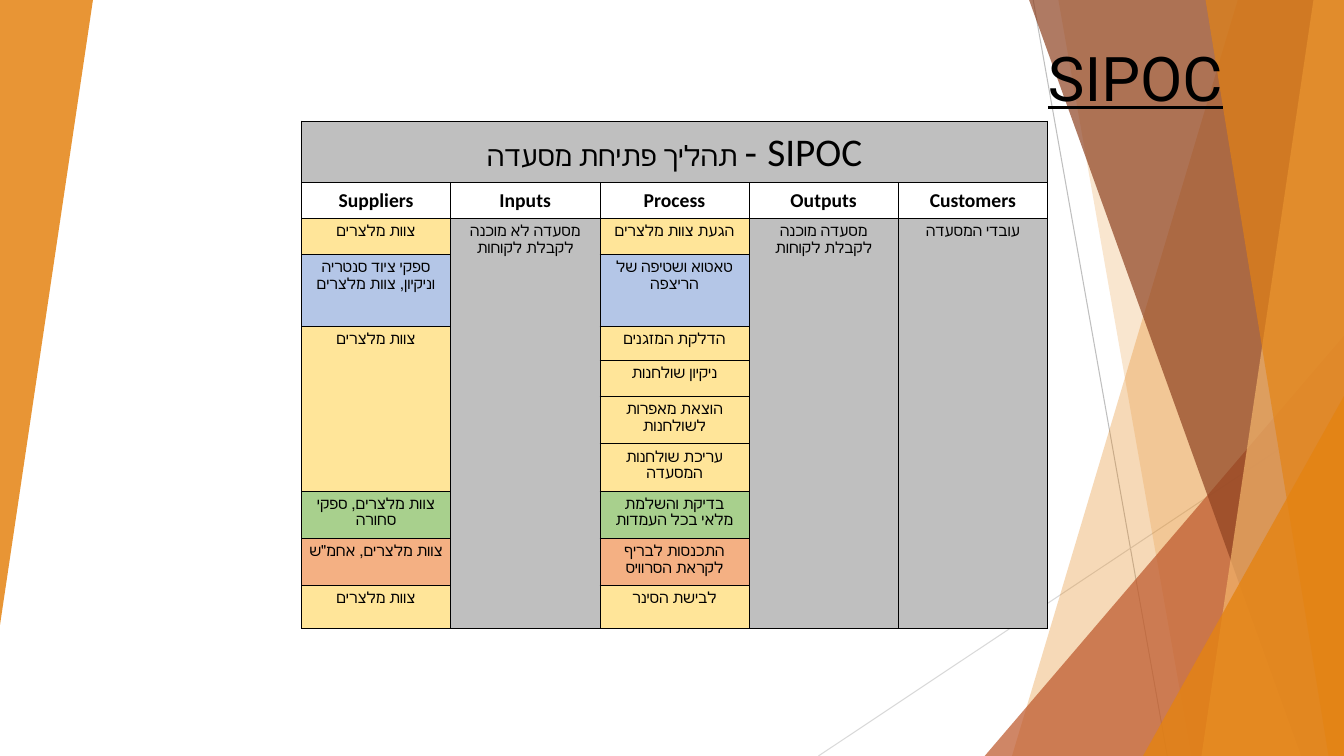
"""Build a slide with a SIPOC table for opening a restaurant."""
import pptx
import pptx.dml.color
import pptx.enum.shapes
import pptx.enum.text
import pptx.oxml
import pptx.oxml.ns
import pptx.util

Pt = pptx.util.Pt
ALIGN = pptx.enum.text.PP_ALIGN
ANCHOR = pptx.enum.text.MSO_ANCHOR
SHAPE = pptx.enum.shapes.MSO_SHAPE
NS = pptx.oxml.ns.nsdecls("a")
W, H = 960, 540

GREY, YELLOW, BLUE, GREEN, CORAL = "BFBFBF", "FFE599", "B4C6E7", "A8D08D", "F4B083"
ORANGE, RUST, BROWN, SAND = "E48312", "BD582C", "8E4221", "F3B56C"

LINES = [((738, 0), (833.8, H), "BFBFBF"), ((W, 290), (584.6, H), "D9D9D9")]
BANDS_BACK = [(884.2, 722.9, ORANGE, 30), (756, 851, ORANGE, 20)]
BANDS_FRONT = [(735.1, 929.5, BROWN, 70), (938.2, 858.2, SAND, 70), (861.1, 949, ORANGE, 65)]
TRIANGLE_BACK = (703.4, 239.8, 256.6, 300.2, 0, RUST, 72)
TRIANGLES_FRONT = [(816.5, 283, 143.5, 257, 0, ORANGE, 80), (0, 0, 66.4, 446.4, 180, ORANGE, 85)]

TITLE = "SIPOC"
HEADING = [("SIPOC -", 28), (" תהליך פתיחת מסעדה", 20)]
COLUMNS = ["Suppliers", "Inputs", "Process", "Outputs", "Customers"]
SUPPLIERS = [
    ("צוות מלצרים", YELLOW, 1),
    ("ספקי ציוד סנטריה וניקיון, צוות מלצרים", BLUE, 1),
    ("צוות מלצרים", YELLOW, 4),
    ("צוות מלצרים, ספקי סחורה", GREEN, 1),
    ("צוות מלצרים, אחמ\"ש", CORAL, 1),
    ("צוות מלצרים", YELLOW, 1),
]
PROCESS = [
    ("הגעת צוות מלצרים", YELLOW, 1),
    ("טאטוא ושטיפה של הריצפה", BLUE, 1),
    ("הדלקת המזגנים", YELLOW, 1),
    ("ניקיון שולחנות", YELLOW, 1),
    ("הוצאת מאפרות לשולחנות", YELLOW, 1),
    ("עריכת שולחנות המסעדה", YELLOW, 1),
    ("בדיקת והשלמת מלאי בכל העמדות", GREEN, 1),
    ("התכנסות לבריף לקראת הסרוויס", CORAL, 1),
    ("לבישת הסינר", YELLOW, 1),
]
BODY = [
    SUPPLIERS,
    [("מסעדה לא מוכנה לקבלת לקוחות", GREY, 9)],
    PROCESS,
    [("מסעדה מוכנה לקבלת לקוחות", GREY, 9)],
    [("עובדי המסעדה", GREY, 9)],
]
COL_WIDTH = 106.6
ROW_HEIGHTS = [43.9, 18, 25.7, 51.4, 24.5, 25.7, 33.8, 33.8, 33.8, 33.8, 30.5]


def rgb(value):
    return pptx.dml.color.RGBColor.from_string(value)


def paint(sp, color, alpha):
    sp.shadow.inherit = False
    sp.line.fill.background()
    sp.fill.solid()
    sp.fill.fore_color.rgb = rgb(color)
    clr = sp._element.spPr.find(".//" + pptx.oxml.ns.qn("a:srgbClr"))
    clr.append(pptx.oxml.parse_xml(f'<a:alpha {NS} val="{alpha * 1000}"/>'))


def add_line(s, start, end, color):
    ends = [Pt(v) for v in start + end]
    line = s.shapes.add_connector(pptx.enum.shapes.MSO_CONNECTOR.STRAIGHT, *ends)
    line.line.color.rgb = rgb(color)
    line.line.width = Pt(0.75)
    line._element.spPr.append(pptx.oxml.parse_xml(f"<a:effectLst {NS}/>"))


def add_band(s, top_x, bottom_x, color, alpha):
    builder = s.shapes.build_freeform(Pt(top_x), Pt(0), scale=1.0)
    corners = [(W, 0), (W, H), (bottom_x, H)]
    builder.add_line_segments([(Pt(x), Pt(y)) for x, y in corners], close=True)
    paint(builder.convert_to_shape(), color, alpha)


def add_triangle(s, x, y, w, h, rotation, color, alpha):
    sp = s.shapes.add_shape(SHAPE.ISOSCELES_TRIANGLE, Pt(x), Pt(y), Pt(w), Pt(h))
    sp.adjustments[0] = 1
    sp.rotation = rotation
    paint(sp, color, alpha)


def write(tf, runs, font="Calibri", align=ALIGN.CENTER, bold=False, underline=False,
          spacing=1.07, after=8):
    tf.word_wrap = True
    p = tf.paragraphs[0]
    p.alignment = align
    p.line_spacing = spacing
    p.space_after = Pt(after)
    p._p.get_or_add_pPr().set("rtl", "1")
    for text, size in runs:
        r = p.add_run()
        r.text = text
        r.font.name = font
        r.font.size = Pt(size)
        r.font.bold = bold
        r.font.underline = underline
        r.font.color.rgb = rgb("000000")


def fill_cell(cell, runs, color=None, **fmt):
    if color:
        cell.fill.solid()
        cell.fill.fore_color.rgb = rgb(color)
    write(cell.text_frame, runs, **fmt)


def add_sipoc_table(s):
    rows, cols = len(ROW_HEIGHTS), len(COLUMNS)
    frame = s.shapes.add_table(rows, cols, Pt(215.3), Pt(86.4),
                               Pt(COL_WIDTH * cols), Pt(sum(ROW_HEIGHTS)))
    table = frame.table
    table.first_row = table.horz_banding = False
    for col in table.columns:
        col.width = Pt(COL_WIDTH)
    for row, height in zip(table.rows, ROW_HEIGHTS):
        row.height = Pt(height)
    for cell in table.iter_cells():
        cell.margin_left = cell.margin_right = Pt(5)
        cell.margin_top = cell.margin_bottom = Pt(3.6)
        cell.fill.background()
        for i, side in enumerate("LRTB"):
            cell._tc.tcPr.insert(i, pptx.oxml.parse_xml(
                f'<a:ln{side} {NS} w="{Pt(0.45)}"><a:solidFill>'
                f'<a:srgbClr val="000000"/></a:solidFill></a:ln{side}>'))
    table.cell(0, 0).merge(table.cell(0, cols - 1))
    fill_cell(table.cell(0, 0), HEADING, GREY)
    for c, (name, entries) in enumerate(zip(COLUMNS, BODY)):
        fill_cell(table.cell(1, c), [(name, 14)], bold=True)
        r = 2
        for text, color, span in entries:
            if span > 1:
                table.cell(r, c).merge(table.cell(r + span - 1, c))
            fill_cell(table.cell(r, c), [(text, 11)], color)
            r += span


def main():
    prs = pptx.Presentation()
    prs.slide_width, prs.slide_height = Pt(W), Pt(H)
    s = prs.slides.add_slide(prs.slide_layouts[6])
    for line in LINES:
        add_line(s, *line)
    for band in BANDS_BACK:
        add_band(s, *band)
    add_triangle(s, *TRIANGLE_BACK)
    for band in BANDS_FRONT:
        add_band(s, *band)
    for triangle in TRIANGLES_FRONT:
        add_triangle(s, *triangle)
    add_sipoc_table(s)
    tf = s.shapes.add_textbox(Pt(78.5), Pt(25.2), Pt(802), Pt(59.8)).text_frame
    tf.vertical_anchor = ANCHOR.BOTTOM
    write(tf, [(TITLE, 44)], font="Roboto", align=ALIGN.RIGHT, underline=True,
          spacing=1.0, after=0)
    prs.save("out.pptx")


if __name__ == "__main__":
    main()
